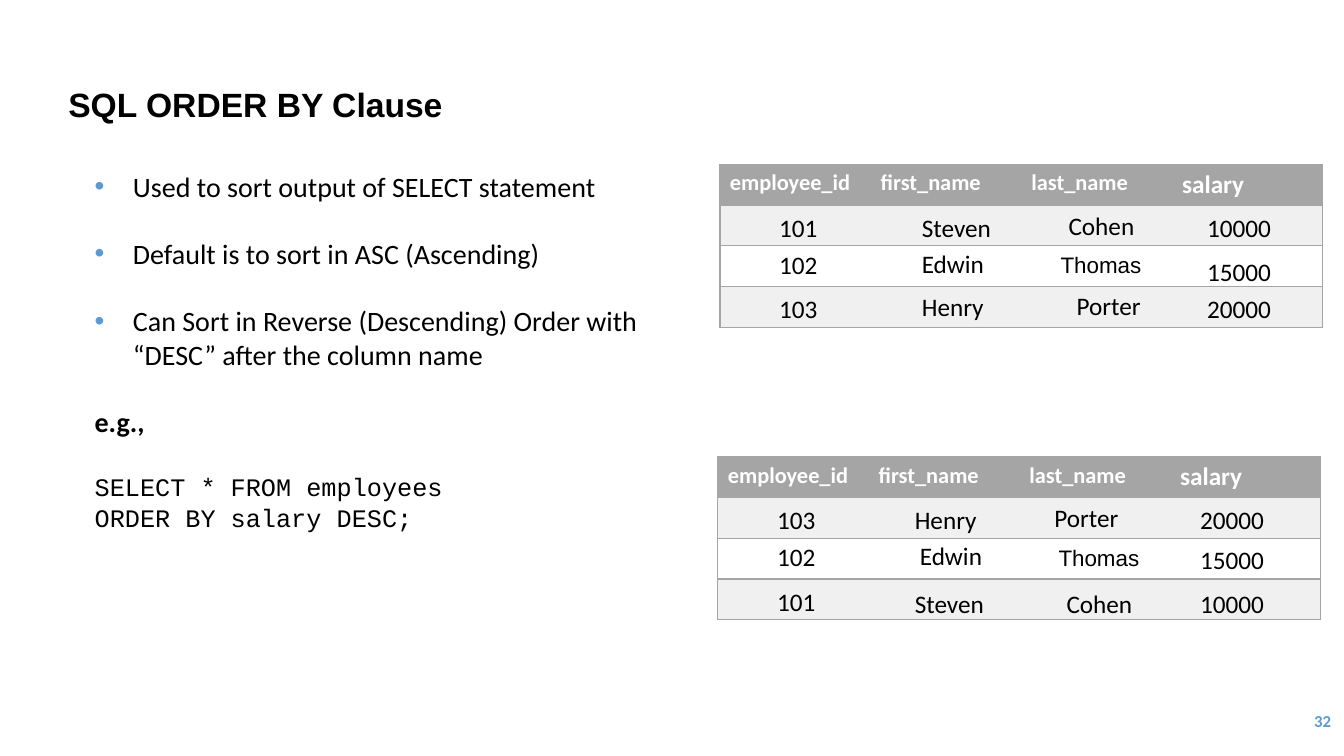
from pptx import Presentation
from pptx.dml.color import RGBColor
from pptx.enum.text import MSO_ANCHOR as Anchor, PP_ALIGN as Align
from pptx.oxml import parse_xml
from pptx.oxml.ns import nsdecls
from pptx.util import Inches, Pt

BLACK = RGBColor(0x00, 0x00, 0x00)
WHITE = RGBColor(0xFF, 0xFF, 0xFF)
BLUE = RGBColor(0x5B, 0x9B, 0xD5)
GRAY = RGBColor(0xA5, 0xA5, 0xA5)
BAND = RGBColor(0xF0, 0xF0, 0xF0)

TITLE = "SQL ORDER BY Clause"
PAGE_NUMBER = "32"
POINTS = [
    "Used to sort output of SELECT statement",
    "Default is to sort in ASC (Ascending)",
    "Can Sort in Reverse (Descending) Order with “DESC” after the column name",
]
EXAMPLE = "e.g.,"
QUERY = ["SELECT * FROM employees", "ORDER BY salary DESC;"]
HEADERS = [("employee_id", 16), ("first_name", 16), ("last_name", 16), ("salary", 18)]

# Each value is followed by its offset from the corner of its cell.
EMPLOYEES = [
    [("101", 0.49, 0.02), ("Steven", 0.41, 0.02), ("Cohen", 0.37, 0), ("10000", 0.25, 0.02)],
    [("102", 0.49, -0.02), ("Edwin", 0.41, -0.03), ("Thomas", 0.29, 0), ("15000", 0.25, 0.05)],
    [("103", 0.49, 0.02), ("Henry", 0.41, 0), ("Porter", 0.45, -0.01), ("20000", 0.25, 0.02)],
]
SORTED_EMPLOYEES = [
    [("103", 0.49, 0.02), ("Henry", 0.36, 0.02), ("Porter", 0.25, 0), ("20000", 0.2, 0.02)],
    [("102", 0.49, -0.02), ("Edwin", 0.41, -0.03), ("Thomas", 0.29, 0.01), ("15000", 0.2, 0.01)],
    [("101", 0.49, 0.02), ("Steven", 0.36, 0.04), ("Cohen", 0.37, 0.04), ("10000", 0.2, 0.04)],
]
TABLES = [(7.14, 1.63, EMPLOYEES), (7.12, 4.53, SORTED_EMPLOYEES)]
COLUMN_WIDTH, ROW_HEIGHT = 5.98 / 4, 1.62 / 4
NAME_WIDTHS = {"Steven": 0.89, "Cohen": 0.86, "Edwin": 0.83,
               "Thomas": 1.01, "Henry": 0.83, "Porter": 0.84}
NUMBER_WIDTHS = {0: 0.88, 3: 1.43}
PLAIN_STYLE = "{2D5ABB26-0587-4C30-8999-92F81FD0307C}"

TITLE_FONT = {"name": "Arial", "size": Pt(24), "bold": True}
NUMBER_FONT = {"name": "Calibri", "size": Pt(12), "bold": True}
POINT_FONT = {"name": "Calibri", "size": Pt(20)}
EXAMPLE_FONT = POINT_FONT | {"bold": True}
QUERY_FONT = {"name": "Courier New", "size": Pt(18)}
VALUE_FONT = {"name": "Calibri", "size": Pt(18)}
SMALL_VALUE_FONT = {"name": "Arial", "size": Pt(16)}
BLANK_LINE = Pt(24)


def write(paragraph, text, font, color=BLACK):
    run = paragraph.add_run()
    run.text = text
    for key, value in font.items():
        setattr(run.font, key, value)
    run.font.color.rgb = color


def add_box(slide, left, top, width, height, wrap=True, anchor=Anchor.TOP):
    box = slide.shapes.add_textbox(*map(Inches, (left, top, width, height)))
    box.text_frame.word_wrap = wrap
    box.text_frame.vertical_anchor = anchor
    return box.text_frame


def add_bullet(paragraph):
    properties = paragraph._p.get_or_add_pPr()
    properties.set("marL", str(Inches(0.38)))
    properties.set("indent", str(-Inches(0.38)))
    for element in (f'<a:buClr {nsdecls("a")}><a:srgbClr val="{BLUE}"/></a:buClr>',
                    f'<a:buFont {nsdecls("a")} typeface="Arial"/>',
                    f'<a:buChar {nsdecls("a")} char="•"/>'):
        properties.append(parse_xml(element))


def add_body(slide):
    frame = add_box(slide, 0.84, 1.63, 5.82, 3.74)
    lines = [(text, POINT_FONT) for text in POINTS]
    lines += [(EXAMPLE, EXAMPLE_FONT)] + [(text, QUERY_FONT) for text in QUERY]
    for index, (text, font) in enumerate(lines):
        paragraph = frame.add_paragraph() if index else frame.paragraphs[0]
        if font is POINT_FONT:
            add_bullet(paragraph)
        if index and text != QUERY[1]:
            paragraph.space_before = BLANK_LINE
        write(paragraph, text, font)


def add_borders(cell, sides):
    properties = cell._tc.get_or_add_tcPr()
    for index, side in enumerate(sides):
        properties.insert(index, parse_xml(
            f'<a:ln{side} {nsdecls("a")} w="{Pt(1)}"><a:solidFill>'
            f'<a:srgbClr val="{GRAY}"/></a:solidFill></a:ln{side}>'))


def add_employee_table(slide, left, top, records):
    row_count, column_count = len(records) + 1, len(HEADERS)
    frame = slide.shapes.add_table(
        row_count, column_count, Inches(left), Inches(top),
        Inches(COLUMN_WIDTH * column_count), Inches(ROW_HEIGHT * row_count))
    table = frame.table
    table._tbl.tblPr.find("{*}tableStyleId").text = PLAIN_STYLE
    for row in range(row_count):
        for column, (header, size) in enumerate(HEADERS):
            cell = table.cell(row, column)
            cell.fill.solid()
            cell.fill.fore_color.rgb = BAND if row % 2 else WHITE if row else GRAY
            edge = {0: "L", column_count - 1: "R"}.get(column, "")
            add_borders(cell, edge + "TB")
            if row == 0:
                font = {"name": "Calibri", "size": Pt(size), "bold": True}
                write(cell.text_frame.paragraphs[0], header, font, WHITE)
    for row, record in enumerate(records, 1):
        for column, (text, right, down) in enumerate(record):
            is_name = text in NAME_WIDTHS
            width = NAME_WIDTHS[text] if is_name else NUMBER_WIDTHS[column]
            value = add_box(slide, left + column * COLUMN_WIDTH + right,
                            top + row * ROW_HEIGHT + down, width, 0.4, not is_name)
            font = SMALL_VALUE_FONT if text == "Thomas" else VALUE_FONT
            write(value.paragraphs[0], text, font)


def main():
    presentation = Presentation()
    presentation.slide_width, presentation.slide_height = Inches(13.33), Inches(7.5)
    slide = presentation.slides.add_slide(presentation.slide_layouts[6])

    title = add_box(slide, 0.58, 0.86, 10.44, 0.4, anchor=Anchor.MIDDLE).paragraphs[0]
    title.line_spacing = 0.9
    write(title, TITLE, TITLE_FONT)

    number = add_box(slide, 11.63, 6.95, 1.67, 0.4, anchor=Anchor.MIDDLE).paragraphs[0]
    number.alignment = Align.RIGHT
    write(number, PAGE_NUMBER, NUMBER_FONT, BLUE)

    add_body(slide)
    for left, top, records in TABLES:
        add_employee_table(slide, left, top, records)
    presentation.save("out.pptx")


if __name__ == "__main__":
    main()
